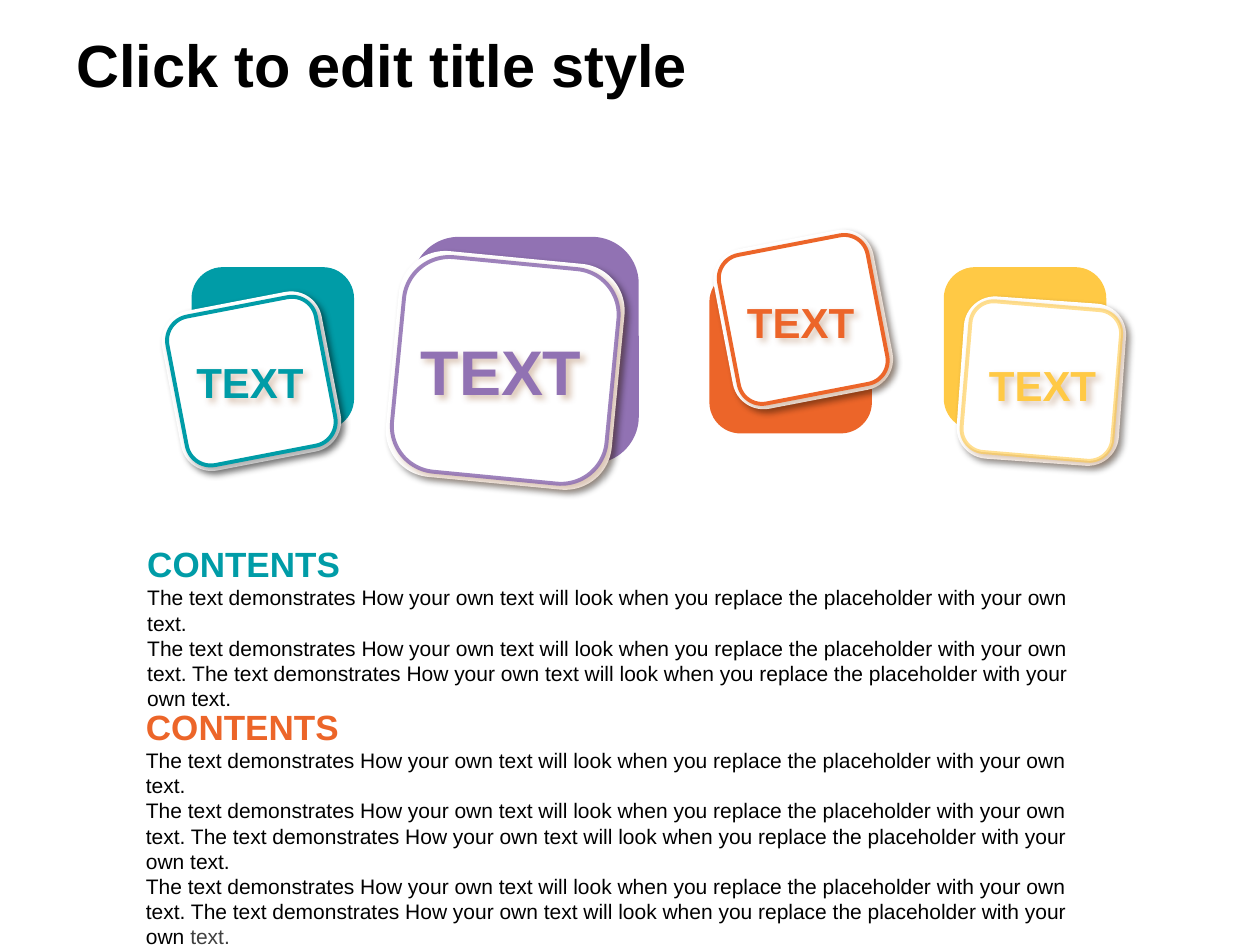
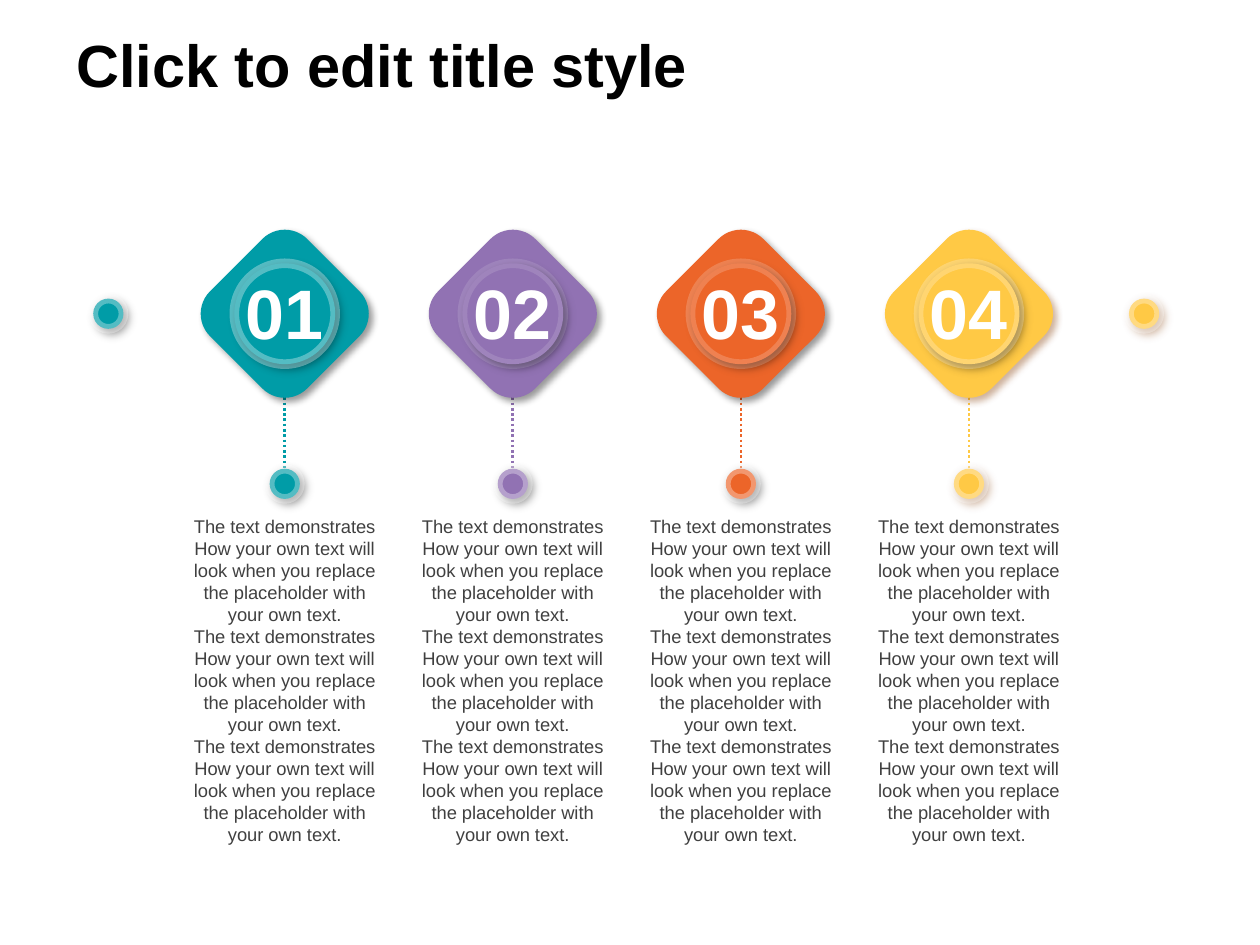
from dataclasses import dataclass

from lxml.etree import SubElement
from pptx import Presentation
from pptx.dml.color import RGBColor
from pptx.enum.dml import MSO_LINE_DASH_STYLE as Dash
from pptx.enum.shapes import MSO_CONNECTOR as Connector, MSO_SHAPE as Shape
from pptx.enum.text import MSO_ANCHOR as Anchor, PP_ALIGN as Align
from pptx.oxml.ns import qn
from pptx.util import Inches, Pt


@dataclass(frozen=True)
class Theme:
    font: str = "Arial"
    teal: str = "009CA7"
    purple: str = "9172B3"
    orange: str = "EC6529"
    yellow: str = "FFC945"
    white: str = "FFFFFF"
    black: str = "000000"
    grey: str = "404040"
    brown: str = "87400B"
    title_size: float = 34
    number_size: float = 40
    heading_size: float = 20
    body_size: float = 12
    caption_size: float = 10.5


THEME = Theme()
WIDTH, HEIGHT = 10, 7.5

# Content
TITLE = "Click to edit title style"
SENTENCE = ("The text demonstrates How your own text will look when you "
            "replace the placeholder with your own text.")
DOUBLE = f"{SENTENCE} {SENTENCE}"

# Tiles: back square and front card as (left, top), then shared size and details
TILES = [
    dict(color=THEME.teal, back=(1.52, 2.12), card=(1.35, 2.38), side=1.29,
         turn=-10.9, ring_turn=-10.9, corner=0.192, ring_corner=0.162,
         label=(1.46, 2.78), size=24, opacity=100, shade=THEME.black),
    dict(color=THEME.purple, back=(3.27, 1.88), card=(3.11, 2.04), side=1.8,
         turn=5.5, ring_turn=5.5, corner=0.207, ring_corner=0.212,
         label=(3.24, 2.59), size=36, opacity=88, shade=THEME.brown),
    dict(color=THEME.orange, back=(5.63, 2.15), card=(5.73, 1.89), side=1.29,
         turn=-10.9, ring_turn=-10.9, corner=0.192, ring_corner=0.157,
         label=(5.83, 2.3), size=24, opacity=100, shade=THEME.brown),
    dict(color=THEME.yellow, back=(7.49, 2.12), card=(7.62, 2.38), side=1.29,
         turn=4.1, ring_turn=4.8, corner=0.192, ring_corner=0.154,
         label=(7.75, 2.8), size=24, opacity=60, shade=THEME.brown),
]
RING_INSET = 0.045

LAST_PARAGRAPH = [(DOUBLE.removesuffix("text."), {}),
                  ("text.", {"color": THEME.grey})]
SECTIONS = [
    (THEME.teal, (1.07, 4.26), [SENTENCE, DOUBLE]),
    (THEME.orange, (1.06, 5.55), [SENTENCE, DOUBLE, LAST_PARAGRAPH]),
]

# Steps: number, colour, ring opacity, shadow colour
STEPS = [
    ("01", THEME.teal, 32, THEME.black),
    ("02", THEME.purple, 13, THEME.black),
    ("03", THEME.orange, 18, THEME.black),
    ("04", THEME.yellow, 24, THEME.brown),
]
STEP_LEFT, STEP_PITCH = 2.26, 1.81
AXIS_Y, DOT_Y = 2.49, 3.84
END_DOTS = [(0.86, THEME.teal, THEME.black), (9.08, THEME.yellow, THEME.brown)]


def rgb(color):
    return RGBColor.from_string(color)


def add_shadow(shape, color, opacity):
    effects = shape._element.spPr.find(qn("a:effectLst"))
    shadow = SubElement(effects, qn("a:outerShdw"), blurRad=str(Pt(4)),
                        dist=str(Pt(3)), dir=str(45 * 60000), algn="tl",
                        rotWithShape="0")
    tint = SubElement(shadow, qn("a:srgbClr"), val=color)
    SubElement(tint, qn("a:alpha"), val=str(opacity * 1000))


def add_square(slide, left, top, side, color, corner, turn=0, outline=None,
               outline_width=2.25, outline_opacity=100, shadow=None):
    square = slide.shapes.add_shape(Shape.ROUNDED_RECTANGLE, Inches(left),
                                    Inches(top), Inches(side), Inches(side))
    square.adjustments[0] = corner
    square.rotation = turn
    square.shadow.inherit = False
    square.fill.solid()
    square.fill.fore_color.rgb = rgb(color)
    if outline:
        square.line.color.rgb = rgb(outline)
        square.line.width = Pt(outline_width)
        if outline_opacity < 100:
            ink = next(square._element.spPr.find(qn("a:ln")).iter(qn("a:srgbClr")))
            SubElement(ink, qn("a:alpha"), val=str(outline_opacity * 1000))
    else:
        square.line.fill.background()
    if shadow:
        add_shadow(square, *shadow)
    return square


def add_text(slide, box, paragraphs, size=THEME.body_size, color=THEME.black,
             bold=False, align=Align.LEFT, anchor=Anchor.TOP, wrap=True,
             shadow=None):
    """Each paragraph is a string or a list of (text, format) runs."""
    block = slide.shapes.add_textbox(*map(Inches, box))
    frame = block.text_frame
    frame.word_wrap = wrap
    frame.vertical_anchor = anchor
    for index, content in enumerate(paragraphs):
        paragraph = frame.add_paragraph() if index else frame.paragraphs[0]
        paragraph.alignment = align
        runs = [(content, {})] if isinstance(content, str) else content
        for words, style in runs:
            run = paragraph.add_run()
            run.text = words
            run.font.name = THEME.font
            run.font.size = Pt(style.get("size", size))
            run.font.bold = style.get("bold", bold)
            run.font.color.rgb = rgb(style.get("color", color))
    if shadow:
        block.shadow.inherit = False
        add_shadow(block, *shadow)
    return block


def add_titled_slide(deck):
    slide = deck.slides.add_slide(deck.slide_layouts[6])
    add_text(slide, (0.51, 0, 6.86, 1.01), [TITLE], size=THEME.title_size,
             bold=True, anchor=Anchor.MIDDLE)
    return slide


def add_tile(slide, tile):
    color, side = tile["color"], tile["side"]
    left, top = tile["card"]
    add_square(slide, *tile["back"], side, color, tile["corner"])
    add_square(slide, left, top, side, THEME.white, tile["corner"],
               turn=tile["turn"], shadow=(THEME.black, 40))
    add_square(slide, left + RING_INSET, top + RING_INSET,
               side - 2 * RING_INSET, THEME.white, tile["ring_corner"],
               turn=tile["ring_turn"], outline=color,
               outline_opacity=tile["opacity"], shadow=(tile["shade"], 29))
    size = tile["size"]
    add_text(slide, (*tile["label"], size * 0.04 + 0.12, size * 0.02),
             ["TEXT"], size=size, color=color, bold=True,
             shadow=(THEME.brown, 29))


def add_diamond(slide, x, y, side, color, corner, **style):
    add_square(slide, x - side / 2, y - side / 2, side, color, corner,
               turn=45, **style)


def add_dot(slide, x, y, color, shade):
    add_diamond(slide, x, y, 0.24, color, 0.5, outline=THEME.white,
                outline_width=5.5, outline_opacity=32, shadow=(shade, 40))


def add_stem(slide, x, color):
    stem = slide.shapes.add_connector(Connector.STRAIGHT, Inches(x),
                                      Inches(2.32), Inches(x), Inches(3.81))
    stem.line.color.rgb = rgb(color)
    stem.line.width = Pt(1.5)
    stem.line.dash_style = Dash.ROUND_DOT
    SubElement(stem._element.spPr, qn("a:effectLst"))


def add_step(slide, x, number, color, ring_opacity, shade):
    add_stem(slide, x, color)
    add_diamond(slide, x, AXIS_Y, 1.09, color, 0.23, shadow=(shade, 40))
    add_diamond(slide, x, AXIS_Y, 0.8, color, 0.5, outline=THEME.white,
                outline_width=5.5, outline_opacity=ring_opacity,
                shadow=(THEME.black, 40))
    add_text(slide, (x - 0.41, 2.09, 0.83, 0.77), [number],
             size=THEME.number_size, color=THEME.white, bold=True, wrap=False)
    add_text(slide, (x - 0.86, 4.04, 1.72, 2.75), [SENTENCE] * 3,
             size=THEME.caption_size, color=THEME.grey, align=Align.CENTER)
    add_dot(slide, x, DOT_Y, color, shade)


def build_tiles_slide(deck):
    slide = add_titled_slide(deck)
    for tile in TILES:
        add_tile(slide, tile)
    for color, corner, body in SECTIONS:
        heading = [("CONTENTS", {"size": THEME.heading_size, "color": color,
                                 "bold": True})]
        add_text(slide, (*corner, 7.85, 1.45), [heading, *body])


def build_steps_slide(deck):
    slide = add_titled_slide(deck)
    for column, step in enumerate(STEPS):
        add_step(slide, STEP_LEFT + column * STEP_PITCH, *step)
    for x, color, shade in END_DOTS:
        add_dot(slide, x, AXIS_Y, color, shade)


def main():
    deck = Presentation()
    deck.slide_width, deck.slide_height = Inches(WIDTH), Inches(HEIGHT)
    build_tiles_slide(deck)
    build_steps_slide(deck)
    deck.save("out.pptx")


if __name__ == "__main__":
    main()
